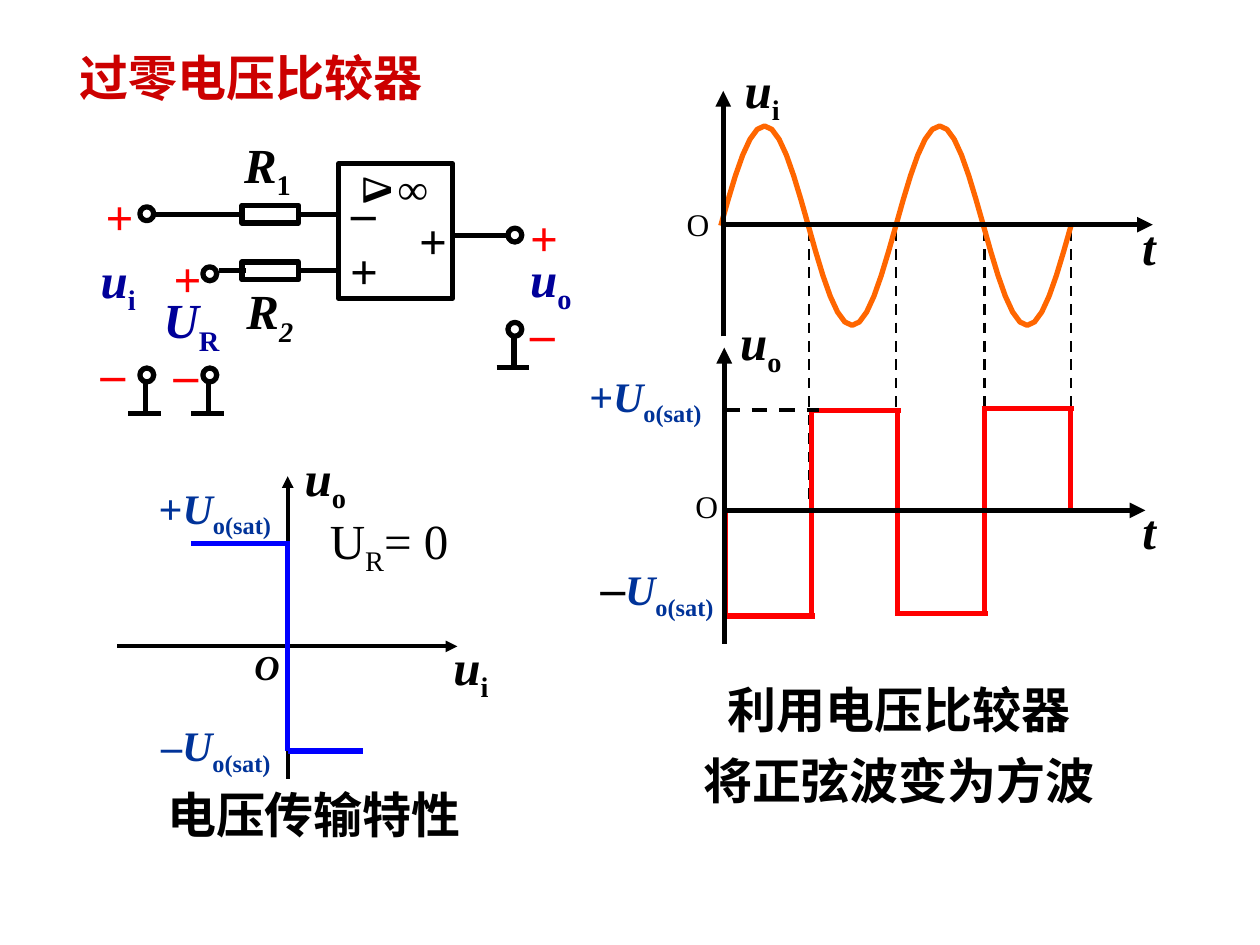
from math import pi, sin

from lxml.etree import SubElement
from pptx import Presentation
from pptx.dml.color import RGBColor
from pptx.enum.dml import MSO_LINE
from pptx.enum.shapes import MSO_CONNECTOR, MSO_SHAPE
from pptx.enum.text import MSO_ANCHOR, MSO_AUTO_SIZE, PP_ALIGN
from pptx.oxml.ns import qn
from pptx.util import Cm, Pt

BLACK = RGBColor(0x00, 0x00, 0x00)
RED = RGBColor(0xFF, 0x00, 0x00)
DARK_RED = RGBColor(0xCC, 0x00, 0x00)
ORANGE = RGBColor(0xFF, 0x66, 0x00)
BLUE = RGBColor(0x00, 0x00, 0xFF)
NAVY = RGBColor(0x00, 0x00, 0x99)
STEEL = RGBColor(0x00, 0x33, 0x99)
FONT = "Times New Roman"
LABEL_HEIGHTS = {28: 1.45, 24: 1.27, 20: 1.09, 18: 1.09}
LEFT, CENTER = PP_ALIGN.LEFT, PP_ALIGN.CENTER

presentation = Presentation()
presentation.slide_width, presentation.slide_height = Cm(25.4), Cm(19.05)
slide = presentation.slides.add_slide(presentation.slide_layouts[5])
shapes = slide.shapes


def add_line(x1, y1, x2, y2, color=BLACK, width=3, dashed=False, arrow=False):
    connector = shapes.add_connector(MSO_CONNECTOR.STRAIGHT, Cm(x1), Cm(y1), Cm(x2), Cm(y2))
    connector.line.color.rgb = color
    connector.line.width = Pt(width)
    if dashed:
        connector.line.dash_style = MSO_LINE.DASH
    if arrow:
        SubElement(connector.line._get_or_add_ln(), qn("a:tailEnd"), type="triangle")
    SubElement(connector._element.spPr, qn("a:effectLst"))


def add_label(left, top, width, size, color, runs, align=LEFT):
    """Each run is (text, style): b bold, i italic, s subscript."""
    box = shapes.add_textbox(Cm(left), Cm(top), Cm(width), Cm(LABEL_HEIGHTS[size]))
    box.text_frame.word_wrap = True
    box.text_frame.auto_size = MSO_AUTO_SIZE.SHAPE_TO_FIT_TEXT
    paragraph = box.text_frame.paragraphs[0]
    paragraph.alignment = align
    for text, style in runs:
        run = paragraph.add_run()
        run.text = text
        formats = {"name": FONT, "size": Pt(size), "bold": "b" in style, "italic": "i" in style}
        for name, value in formats.items():
            setattr(run.font, name, value)
        run.font.color.rgb = color
        if "s" in style:
            run._r.get_or_add_rPr().set("baseline", "-25000")
    return box


# Title
title = shapes.title
for name, value in {"left": 1.35, "top": 0.84, "width": 8.69, "height": 1.47}.items():
    setattr(title, name, Cm(value))
title.text_frame.text = "过零电压比较器"
title.text_frame.vertical_anchor = MSO_ANCHOR.TOP

# Caption under the waveforms
caption = shapes.add_textbox(Cm(13.18), Cm(13.34), Cm(9.88), Cm(3.1))
caption.text_frame.word_wrap = True
caption.text_frame.vertical_anchor = MSO_ANCHOR.MIDDLE
caption.text_frame.text = "利用电压比较器\n将正弦波变为方波"

for shape, color, align, spacing in ((title, DARK_RED, LEFT, 1), (caption, BLACK, CENTER, 1.2)):
    for paragraph in shape.text_frame.paragraphs:
        paragraph.alignment = align
        paragraph.line_spacing = spacing
        for name, value in {"name": FONT, "size": Pt(28), "bold": True}.items():
            setattr(paragraph.font, name, value)
        paragraph.font.color.rgb = color

# Zero-crossing guides
for x in (16.31, 18.06, 19.84, 21.59):
    add_line(x, 4.65, x, 10.16, width=1.5, dashed=True)

# Square wave: two edges and one level per half period
for index, level in enumerate((12.42, 8.28, 12.37, 8.23)):
    start = 14.62 + 1.74 * index
    end = start + 1.74
    for x in (start, end):
        add_line(x, level, x, 10.33, RED)
    add_line(start - 0.05, level, end + 0.07, level, RED)

# Circuit: resistors, amplifier and terminals
terminals = [(4.09, 5.38), (10.24, 4.6), (2.82, 4.17)]
grounds = [(10.24, 6.5), (4.09, 7.42), (2.82, 7.42)]
outlines = [(MSO_SHAPE.RECTANGLE, 4.88, 5.28, 1.14, 0.36),
            (MSO_SHAPE.RECTANGLE, 4.88, 4.14, 1.14, 0.36),
            (MSO_SHAPE.RECTANGLE, 6.83, 3.3, 2.29, 2.72)]
outlines += [(MSO_SHAPE.OVAL, x, y, 0.28, 0.28) for x, y in terminals + grounds]
for kind, *bounds in outlines:
    shape = shapes.add_shape(kind, *map(Cm, bounds))
    shape.shadow.inherit = False
    shape.fill.background()
    shape.line.color.rgb = BLACK
    shape.line.width = Pt(3)

# Circuit: wires and ground symbols
for x1, x2, y in ((4.9, 3.05, 4.32), (4.95, 4.42, 5.46), (5.97, 6.83, 5.46),
                  (5.97, 6.83, 4.32), (9.12, 10.24, 4.75)):
    add_line(x1, y, x2, y)
for x, y in grounds:
    add_line(x + 0.12, y + 0.23, x + 0.12, y + 0.91)
    add_line(x - 0.23, y + 0.91, x + 0.43, y + 0.91)

# Circuit labels
for label in (
    (3.05, 5.72, 1.9, 28, NAVY, [("U", "bi"), ("R", "bs")]),
    (10.44, 4.88, 1.9, 28, NAVY, [("u", "bi"), ("o", "bs")]),
    (1.78, 4.9, 1.9, 28, NAVY, [("u", "bi"), ("i", "bs")]),
    (4.72, 5.54, 1.75, 28, BLACK, [("R", "bi"), ("2", "bis")]),
    (4.67, 2.59, 1.55, 28, BLACK, [("R", "bi"), ("1", "bs")]),
    (6.81, 4.72, 0.99, 28, BLACK, [("+", "b")]),
    (8.2, 4.11, 1.78, 28, BLACK, [("+", "b")]),
    (6.83, 3.53, 1.45, 28, BLACK, [("–", "b")]),
    (7.77, 3.15, 2.31, 24, BLACK, [("∞", "b")]),
):
    add_label(*label)
for x, y, sign in ((10.44, 4.06, "+"), (10.44, 5.97, "–"), (1.88, 3.63, "+"),
                   (3.25, 4.88, "+"), (1.78, 6.78, "–"), (3.25, 6.81, "–")):
    add_label(x, y, 1.27, 28, RED, [(sign, "b")])
triangle = add_label(7.14, 3.2, 1.04, 24, BLACK, [("Δ", "b")], CENTER)
triangle.rotation = 90

# Transfer characteristic
add_line(2.36, 13.03, 9.22, 13.03, width=2.25, arrow=True)
add_line(7.3 - 1.5, 15.7, 5.8, 9.6, width=2.25, arrow=True)
for points in ((3.86, 10.95, 5.84, 10.95), (5.8, 10.95, 5.8, 15.14), (5.8, 15.14, 7.32, 15.14)):
    add_line(*points, BLUE)
for label in (
    (3.12, 15.7, 6.48, 28, BLACK, [("电压传输特性", "b")]),
    (3, 14.38, 3.81, 24, STEEL, [("–", "b"), ("U", "bi"), ("o(sat)", "bs")]),
    (2.95, 9.6, 3.63, 24, STEEL, [("+", "b"), ("U", "bi"), ("o(sat)", "bs")]),
    (8.89, 12.7, 1.32, 28, BLACK, [("u", "bi"), ("i", "bs")]),
    (5.89, 8.89, 1.52, 28, BLACK, [("u", "bi"), ("o", "bs")]),
    (4.88, 12.88, 0.97, 20, BLACK, [("O", "bi")]),
    (6.4, 10.16, 3.02, 28, BLACK, [("U", ""), ("R", "s"), ("= 0", "")]),
):
    add_label(*label)

# Sine wave, one outline per half period
half_period, amplitude, steps = 1.765, 2.01, 12
for index in range(4):
    points = []
    for step in range(steps + 1):
        phase = index + step / steps
        points.append((Cm(14.53 + half_period * phase), Cm(4.55 - amplitude * sin(pi * phase))))
    builder = shapes.build_freeform(*points[0], scale=1.0)
    builder.add_line_segments(points[1:], close=False)
    wave = builder.convert_to_shape()
    wave.shadow.inherit = False
    wave.fill.background()
    wave.line.color.rgb = ORANGE
    wave.line.width = Pt(3)

# Waveform axes and the saturation level
for points in ((14.55, 4.53, 23.24, 4.53), (14.58, 6.78, 14.58, 1.83),
               (14.58, 10.29, 23.09, 10.29), (14.6, 12.98, 14.6, 7.01)):
    add_line(*points, arrow=True)
add_line(14.6, 8.26, 16.51, 8.26, width=2.25, dashed=True)

# Waveform labels
for label in (
    (22.4, 4.24, 1.52, 28, BLACK, [("t", "bi")], CENTER),
    (22.43, 9.96, 1.47, 28, BLACK, [("t", "bi")], CENTER),
    (14.4, 1.07, 1.93, 28, BLACK, [("u", "bi"), ("i", "bs")], CENTER),
    (14.4, 6.15, 1.88, 28, BLACK, [("u", "bi"), ("o", "bs")], CENTER),
    (13.59, 4.01, 1.02, 18, BLACK, [("O", "")]),
    (13.77, 9.7, 1.02, 18, BLACK, [("O", "")]),
    (11.63, 7.34, 3.78, 24, STEEL, [("+", "b"), ("U", "bi"), ("o(sat)", "bs")]),
):
    add_label(*label)
negative_level = add_label(11.86, 11.1, 4.27, 24, STEEL,
                           [("–", "b"), ("U", "bi"), ("o(sat)", "bs")])
minus = negative_level.text_frame.paragraphs[0].runs[0]
minus.font.size = Pt(28)
minus.font.color.rgb = BLACK

presentation.save("out.pptx")
